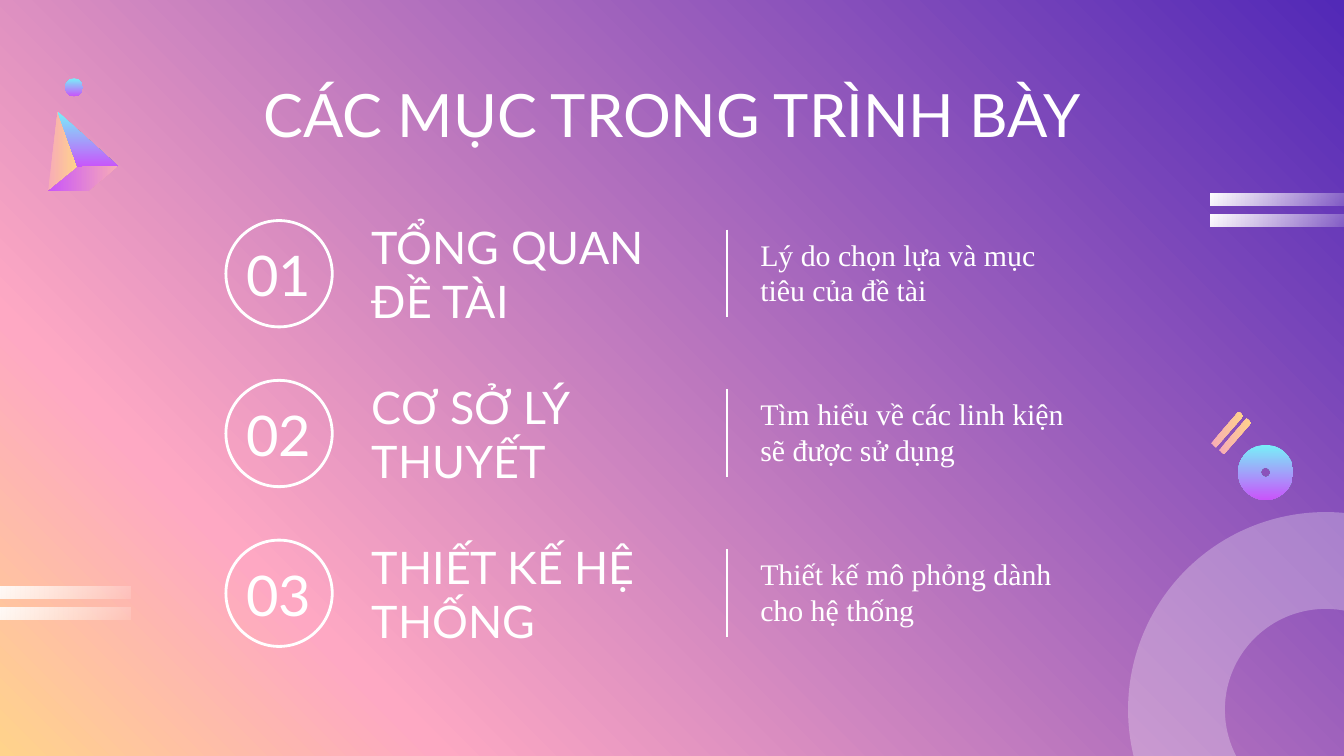
from lxml.etree import SubElement
from pptx import Presentation
from pptx.dml.color import RGBColor
from pptx.enum.shapes import MSO_CONNECTOR as Connector, MSO_SHAPE as Shape
from pptx.enum.text import MSO_ANCHOR as Anchor, MSO_AUTO_SIZE as AutoSize, PP_ALIGN as Align
from pptx.oxml.ns import qn
from pptx.util import Cm, Pt

COLORS = {
    "white": "FFFFFF", "indigo": "5229B7", "pink": "FEA8C3", "sand": "FFD38B",
    "rose": "F7ABB7", "cyan": "78F0F9", "violet": "C954FA",
}
HEADING_FONT, BODY_FONT = "Lato", "Times New Roman"

# Gradients: (position %, colour, opacity %)
BACKDROP = [(0, "indigo", 100), (79, "pink", 100), (100, "sand", 100)]
WARM = [(0, "rose", 100), (100, "sand", 100)]
NEON = [(0, "cyan", 100), (100, "violet", 100)]
DUSK = [(0, "rose", 100), (100, "violet", 100)]
FADE = [(0, "white", 100), (100, "white", 11)]

ITEMS = [
    ("01", "TỔNG QUAN ĐỀ TÀI", "Lý do chọn lựa và mục tiêu của đề tài"),
    ("02", "CƠ SỞ LÝ THUYẾT", "Tìm hiểu về các linh kiện sẽ được sử dụng"),
    ("03", "THIẾT KẾ HỆ THỐNG", "Thiết kế mô phỏng dành cho hệ thống"),
]


def rgb(name):
    return RGBColor.from_string(COLORS[name])


def set_gradient(fill, element, stops, angle):
    """Fill with a linear gradient; angle is clockwise in degrees."""
    fill.gradient()
    gradient = next(element.iter(qn("a:gradFill")))
    stop_list = gradient.find(qn("a:gsLst"))
    for old_stop in list(stop_list):
        stop_list.remove(old_stop)
    for position, name, opacity in stops:
        stop = SubElement(stop_list, qn("a:gs"), pos=str(position * 1000))
        color = SubElement(stop, qn("a:srgbClr"), val=COLORS[name])
        if opacity < 100:
            SubElement(color, qn("a:alpha"), val=str(opacity * 1000))
    gradient.find(qn("a:lin")).set("ang", str(angle * 60000))


def style_gradient_shape(shape, stops, angle):
    shape.shadow.inherit = False
    shape.line.fill.background()
    set_gradient(shape.fill, shape._element.spPr, stops, angle)


def add_preset(slide, kind, left, top, width, height):
    shape = slide.shapes.add_shape(kind, Cm(left), Cm(top), Cm(width), Cm(height))
    shape.shadow.inherit = False
    return shape


def add_polygon(slide, left, top, points, stops, angle):
    corners = [(Cm(left + x), Cm(top + y)) for x, y in points]
    builder = slide.shapes.build_freeform(*corners[0], scale=1.0)
    builder.add_line_segments(corners[1:], close=True)
    style_gradient_shape(builder.convert_to_shape(), stops, angle)


def write_text(shape, text, size, font=HEADING_FONT, align=Align.LEFT):
    frame = shape.text_frame
    frame.text = text
    frame.word_wrap = True
    frame.auto_size = AutoSize.NONE
    frame.vertical_anchor = Anchor.MIDDLE
    frame.margin_left = frame.margin_right = Cm(0.25)
    frame.margin_top = frame.margin_bottom = Cm(0.25)
    paragraph = frame.paragraphs[0]
    paragraph.alignment = align
    paragraph.font.size = Pt(size)
    paragraph.font.name = font
    paragraph.font.color.rgb = rgb("white")


def add_text(slide, left, top, width, height, *text_style):
    box = slide.shapes.add_textbox(Cm(left), Cm(top), Cm(width), Cm(height))
    write_text(box, *text_style)


def place_title(slide, left, top, width, height):
    title = slide.shapes.title
    title.left, title.top = Cm(left), Cm(top)
    title.width, title.height = Cm(width), Cm(height)
    write_text(title, "CÁC MỤC TRONG TRÌNH BÀY", 32, HEADING_FONT, Align.CENTER)


def add_item(slide, left, top, height, number, heading, description):
    """One agenda row: numbered circle, heading, divider, description."""
    circle = add_preset(slide, Shape.OVAL, left, top, height, height)
    circle.fill.background()
    circle.line.color.rgb = rgb("white")
    circle.line.width = Pt(1.5)
    add_text(slide, left - 0.13, top + 0.28, height + 0.26, 1.47,
             number, 30, HEADING_FONT, Align.CENTER)
    add_text(slide, left + 2.51, top, 6.98, height, heading, 24)

    divider_x = Cm(left + 9.47)
    divider = slide.shapes.add_connector(
        Connector.STRAIGHT, divider_x, Cm(top + 0.17), divider_x, Cm(top + 1.83))
    divider.line.color.rgb = rgb("white")
    divider.line.width = Pt(1.5)
    SubElement(divider._element.spPr, qn("a:effectLst"))

    add_text(slide, left + 9.85, top + 0.3, 6.5, 1.35, description, 16, BODY_FONT)


def add_agenda(slide, left, top, row_height, row_pitch):
    for index, item in enumerate(ITEMS):
        add_item(slide, left, top + index * row_pitch, row_height, *item)


def add_pyramid(slide, left, top):
    """Dot above a three-faced pyramid."""
    dot = add_preset(slide, Shape.OVAL, left + 0.32, top - 0.63, 0.34, 0.34)
    style_gradient_shape(dot, NEON, 90)
    apex, center = (0.18, 0), (0.56, 1.05)
    right, base_left, base_right = (1.32, 1.03), (0, 1.51), (0.75, 1.51)
    add_polygon(slide, left, top, [base_left, center, apex], WARM, 0)
    add_polygon(slide, left, top, [apex, center, right], NEON, 90)
    add_polygon(slide, left, top, [right, center, base_left, base_right], DUSK, 180)


def add_disc(slide, left, top, size):
    """Pierced disc with two slanted strokes at its upper left."""
    disc = add_preset(slide, Shape.DONUT, left, top, size, size)
    disc.adjustments[0] = 0.41
    style_gradient_shape(disc, NEON, 90)
    stroke = [(0, 0.6), (0.52, 0), (0.61, 0.08), (0.09, 0.68)]
    for shift_x, shift_y in [(0, 0), (0.15, 0.13)]:
        add_polygon(slide, left - 0.51 + shift_x, top - 0.63 + shift_y, stroke, WARM, 0)


def add_bars(slide, left, top, width, height, pitch):
    for index in range(2):
        bar = add_preset(slide, Shape.RECTANGLE, left, top + index * pitch, width, height)
        style_gradient_shape(bar, FADE, 45)


def add_corner_ring(slide, left, top, size):
    ring = add_preset(slide, Shape.DONUT, left, top, size, size)
    ring.adjustments[0] = 0.245
    ring.line.fill.background()
    ring.fill.solid()
    ring.fill.fore_color.rgb = rgb("white")
    color = next(ring._element.spPr.iter(qn("a:srgbClr")))
    SubElement(color, qn("a:alpha"), val="28000")


def main():
    presentation = Presentation()
    presentation.slide_width, presentation.slide_height = Cm(25.4), Cm(14.29)
    slide = presentation.slides.add_slide(presentation.slide_layouts[5])
    set_gradient(slide.background.fill, slide._element, BACKDROP, 135)

    # Backdrop ring, then title and agenda
    add_corner_ring(slide, 21.32, 9.68, 7.47)
    place_title(slide, 2.01, 1.47, 21.41, 1.35)
    add_agenda(slide, 4.27, 4.17, 2.01, 3.02)

    # Decorations
    add_pyramid(slide, 0.91, 2.11)
    add_disc(slide, 23.4, 8.41, 1.04)
    add_bars(slide, -0.23, 11.09, 2.7, 0.22, 0.4)
    add_bars(slide, 22.87, 3.66, 2.7, 0.22, 0.4)

    presentation.save("out.pptx")


if __name__ == "__main__":
    main()
